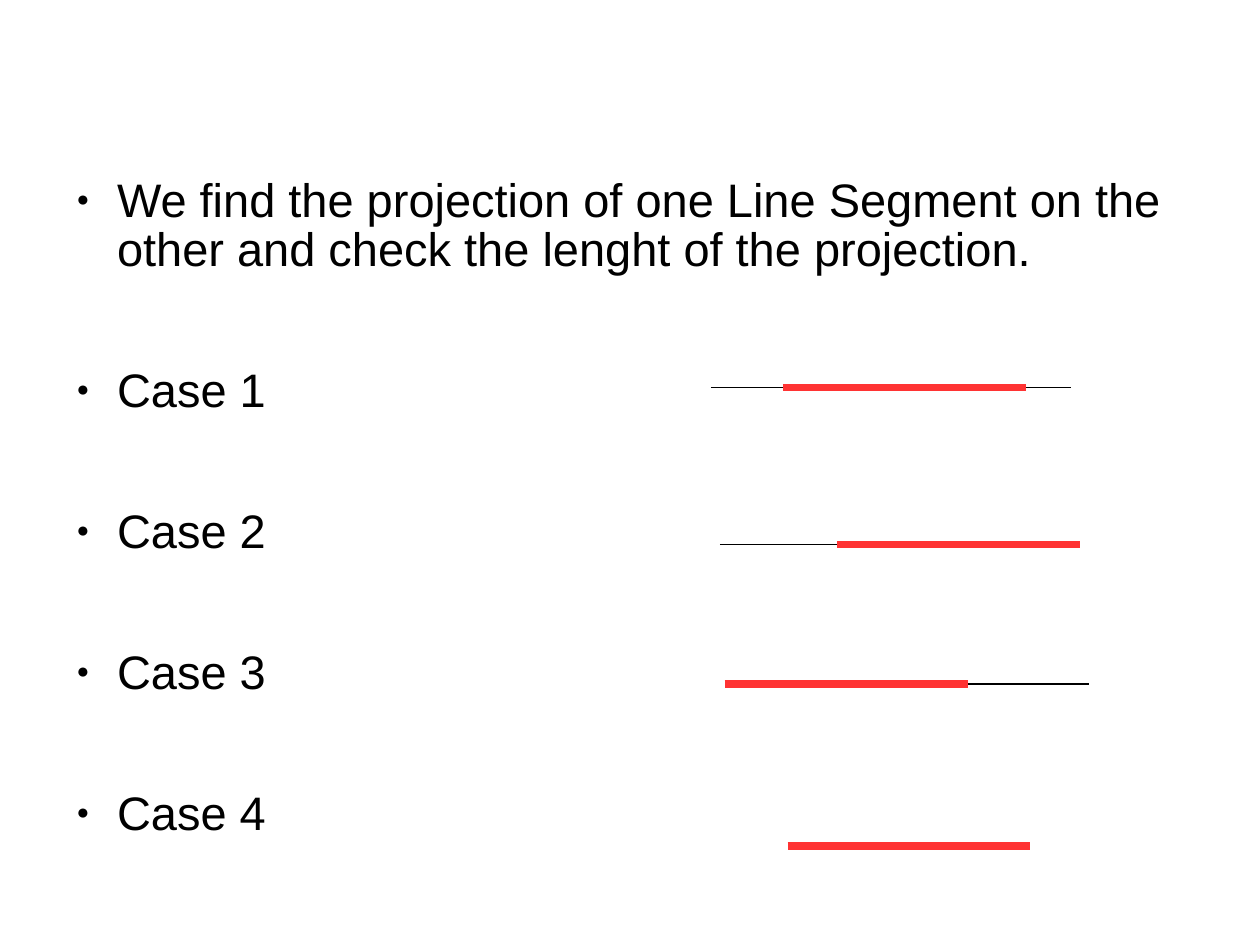
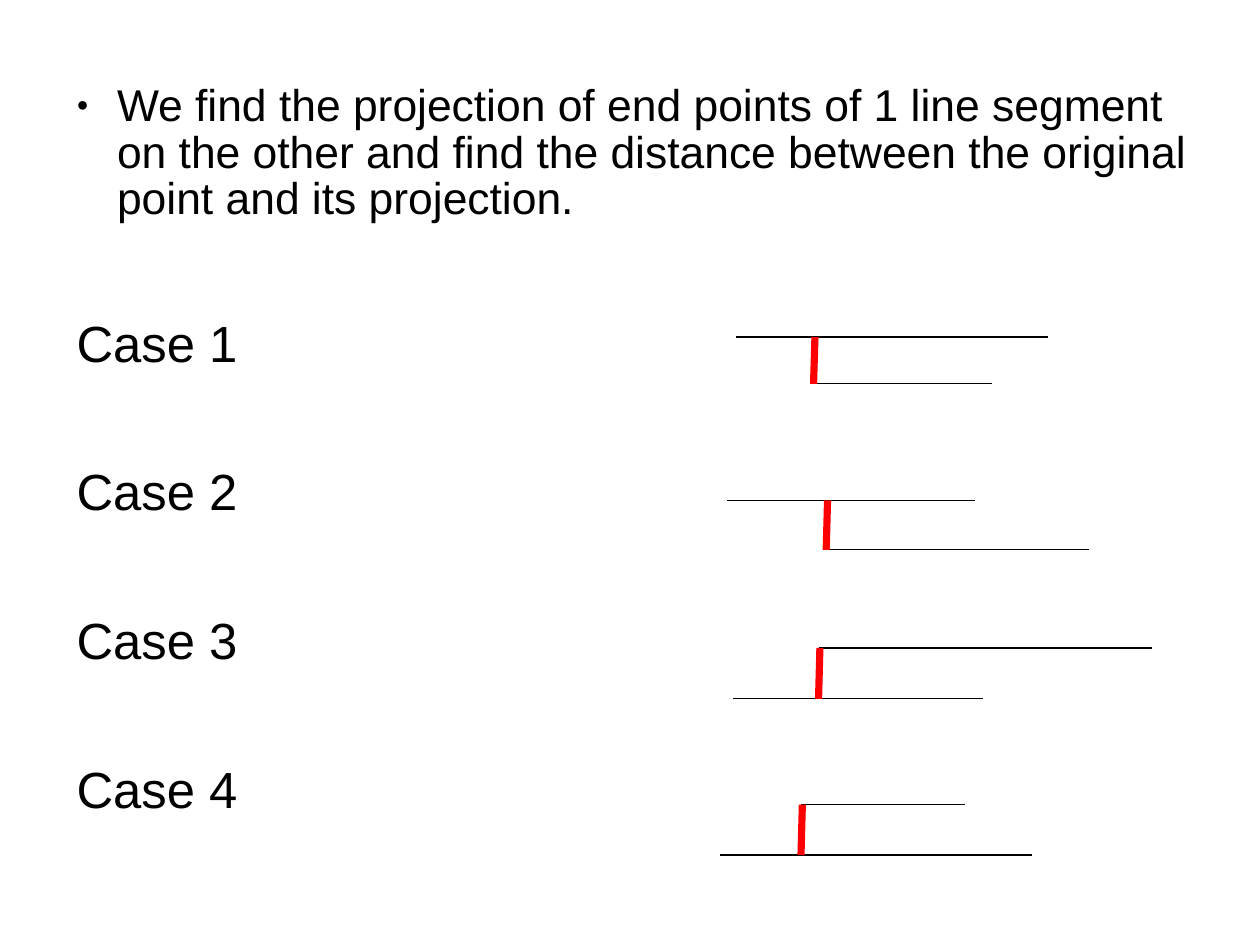
import pptx
import pptx.dml.color
import pptx.enum.shapes
import pptx.enum.text
import pptx.oxml
import pptx.oxml.ns
import pptx.util
from pptx.util import Cm

FONT = "Arial"
BLACK = "000000"
THIN, THICK = 0.75, 4.5
LINE_SPACING = 0.87
CASES = [f"Case {number}" for number in range(1, 5)]

# Per slide: box top and height (cm), intro, intro size, case size,
# space before each case (pt), whether the cases have bullets
SLIDES = [
    (3.89, 15.5,
     "We find the projection of one Line Segment on the other and check "
     "the lenght of the projection.", 29.6, 29.6, 57.8, True),
    (1.8, 17.4,
     "We find the projection of end points of 1 line segment on the other "
     "and find the distance between the original point and its projection.",
     28, 32, 60.3, False),
]

# Overlaps: y, left of the segment (None if absent), left of the projection
SEGMENT_LENGTH, PROJECTION_LENGTH = 8, 5.4
OVERLAPS = [
    (8.61, 15.8, 17.4),
    (12.1, 16, 18.6),
    (15.2, 16.2, 16.1),
    (18.8, None, 17.5),
]

# Distances: upper segment (left, right, y), lower segment (left, right, y)
DISTANCE_SLANT = 0.03
DISTANCES = [
    ((16.36, 23.29, 7.49), (18.08, 22.05, 8.53)),
    ((16.15, 21.67, 11.12), (18.36, 24.2, 12.22)),
    ((18.19, 25.6, 14.4), (16.3, 21.84, 15.53)),
    ((17.8, 21.44, 17.88), (16, 22.94, 19)),
]


def rgb(value):
    return pptx.dml.color.RGBColor.from_string(value)


def draw_line(page, x1, y1, x2, y2, color, width):
    """Draw a straight line between two points given in centimetres."""
    line = page.shapes.add_connector(
        pptx.enum.shapes.MSO_CONNECTOR.STRAIGHT, Cm(x1), Cm(y1), Cm(x2), Cm(y2))
    line.line.color.rgb = rgb(color)
    line.line.width = pptx.util.Pt(width)
    properties = line._element.spPr
    properties.append(properties.makeelement(pptx.oxml.ns.qn("a:effectLst"), {}))


deck = pptx.Presentation()
deck.slide_width, deck.slide_height = Cm(28), Cm(21)

pages = []
for top, height, intro, intro_size, case_size, gap, bulleted in SLIDES:
    page = deck.slides.add_slide(deck.slide_layouts[1])
    pages.append(page)
    title = page.shapes.title._element
    title.getparent().remove(title)

    body = page.placeholders[1]
    body.left, body.top = Cm(1.4), Cm(top)
    body.width, body.height = Cm(25.2), Cm(height)
    frame = body.text_frame
    frame.word_wrap = True
    frame.auto_size = pptx.enum.text.MSO_AUTO_SIZE.NONE
    frame.vertical_anchor = pptx.enum.text.MSO_ANCHOR.TOP
    frame.margin_left = frame.margin_right = frame.margin_bottom = 0
    frame.margin_top = Cm(0.08)

    for index, text in enumerate([intro] + CASES):
        is_intro = index == 0
        para = frame.paragraphs[0] if is_intro else frame.add_paragraph()
        para.alignment = pptx.enum.text.PP_ALIGN.LEFT
        para.line_spacing = LINE_SPACING
        para.space_before = pptx.util.Pt(0 if is_intro else gap)
        span = para.add_run()
        span.text = text
        span.font.name = FONT
        span.font.size = pptx.util.Pt(intro_size if is_intro else case_size)
        span.font.color.rgb = rgb(BLACK)

        settings = para._p.get_or_add_pPr()
        settings.set("marL", str(Cm(1.2)))
        settings.set("indent", str(Cm(-0.9)))
        if is_intro or bulleted:
            bullet = [("buClr", {}), ("buSzPct", {"val": "45000"}),
                      ("buFont", {"typeface": FONT}), ("buChar", {"char": "●"})]
        else:
            bullet = [("buNone", {})]
        for tag, attributes in bullet:
            part = settings.makeelement(pptx.oxml.ns.qn(f"a:{tag}"), attributes)
            settings.append(part)
            if tag == "buClr":
                part.append(part.makeelement(
                    pptx.oxml.ns.qn("a:srgbClr"), {"val": BLACK}))

overlap_page, distance_page = pages

for y, segment, projection in OVERLAPS:
    if segment is not None:
        draw_line(overlap_page, segment, y, segment + SEGMENT_LENGTH, y, BLACK, THIN)
    draw_line(overlap_page, projection, y, projection + PROJECTION_LENGTH, y,
              "FF3333", THICK)

for upper, lower in DISTANCES:
    for left, right, y in (upper, lower):
        draw_line(distance_page, left, y, right, y, BLACK, THIN)
    foot = max(upper[0], lower[0])
    draw_line(distance_page, foot, lower[2], foot + DISTANCE_SLANT, upper[2],
              "FF0000", THICK)

deck.save("out.pptx")
